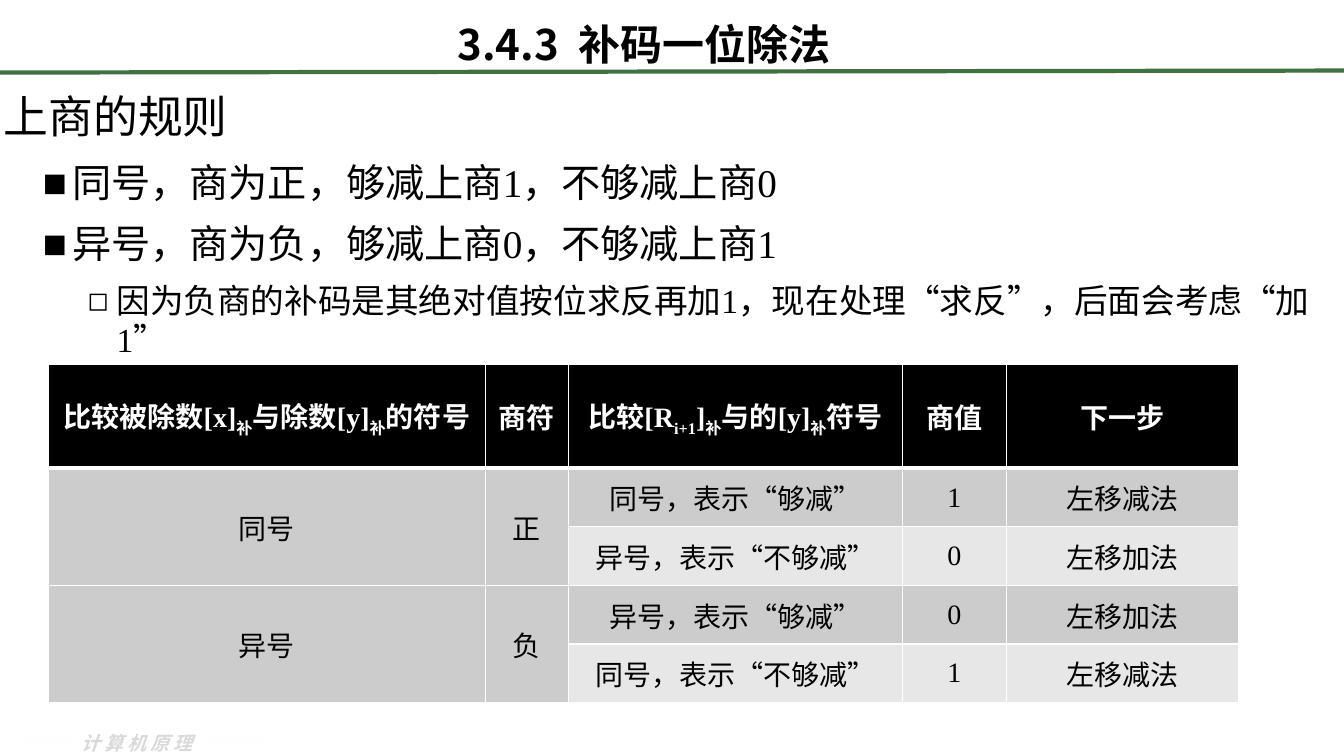
from lxml.etree import SubElement
from pptx import Presentation
from pptx.dml.color import RGBColor
from pptx.enum.shapes import MSO_CONNECTOR as Connector, MSO_SHAPE as Shape
from pptx.enum.text import MSO_ANCHOR as Anchor, PP_ALIGN as Align
from pptx.oxml.ns import qn
from pptx.util import Inches, Pt

COLORS = {
    "ink": "000000", "paper": "FFFFFF", "rule": "3F7141", "footer": "D9D9D9",
    "header": "000000", "band": "CCCCCC", "light_band": "E7E7E7",
}
SERIF, SANS, SYMBOL = "Times New Roman", "Noto Sans CJK SC", "DejaVu Sans"
BULLET_PERCENT = {"■": 65, "◻": 78}
COLUMNS, ROWS = 160, 90


def rgb(name):
    return RGBColor.from_string(COLORS[name])


def write(paragraph, text, size=20, color="ink", face=SERIF, bold=False,
          italic=False, spacing=0, baseline=0):
    """Add one formatted run to a paragraph."""
    run = paragraph.add_run()
    run.text = text
    font = run.font
    font.size, font.bold, font.italic = Pt(size), bold, italic
    font.color.rgb = rgb(color)
    font.name = face
    props = font._element
    props.set("lang", "zh-CN")
    SubElement(props, qn("a:ea"), typeface=SANS)
    if spacing:
        props.set("spc", str(spacing * 100))
    if baseline:
        props.set("baseline", str(baseline * 1000))


class LectureSlide:
    def __init__(self, deck):
        self.slide = deck.slides.add_slide(deck.slide_layouts[6])
        self.column = deck.slide_width / COLUMNS
        self.row = deck.slide_height / ROWS

    def x(self, columns):
        return round(columns * self.column)

    def y(self, rows):
        return round(rows * self.row)

    def text_box(self, left, top, width, height, anchor=Anchor.TOP, wrap=True):
        box = self.slide.shapes.add_textbox(
            self.x(left), self.y(top), self.x(width), self.y(height))
        frame = box.text_frame
        frame.word_wrap = wrap
        frame.vertical_anchor = anchor
        return frame

    def fading_bar(self, left, top, width, height, angle):
        bar = self.slide.shapes.add_shape(
            Shape.RECTANGLE, self.x(left), self.y(top), self.x(width), self.y(height))
        bar.shadow.inherit = False
        bar.line.fill.background()
        bar.fill.gradient()
        bar.fill.gradient_angle = angle
        for stop, position, opacity in zip(bar.fill.gradient_stops, (0, 1), (0, 80)):
            stop.position = position
            stop.color.rgb = rgb("paper")
        for color, opacity in zip(bar._element.spPr.iter(qn("a:srgbClr")), (0, 80)):
            SubElement(color, qn("a:alpha"), val=str(opacity * 1000))

    def line(self, start, end, color, width):
        rule = self.slide.shapes.add_connector(
            Connector.STRAIGHT, self.x(start[0]), self.y(start[1]),
            self.x(end[0]), self.y(end[1]))
        rule.line.color.rgb = rgb(color)
        rule.line.width = Pt(width)
        SubElement(rule._element.spPr, qn("a:effectLst"))

    def bullets(self, frame, items):
        for index, (text, size, indent, hang, mark, spacing) in enumerate(items):
            paragraph = frame.paragraphs[0] if index == 0 else frame.add_paragraph()
            props = paragraph._p.get_or_add_pPr()
            props.set("marL", str(Inches(indent)))
            props.set("indent", str(-Inches(hang)))
            paragraph.line_spacing = spacing
            paragraph.space_before = Pt(0.2 * size if index else 0)
            paragraph.space_after = Pt(6)
            if mark:
                SubElement(props, qn("a:buSzPct"), val=str(BULLET_PERCENT[mark] * 1000))
                SubElement(props, qn("a:buFont"), typeface=SYMBOL)
                SubElement(props, qn("a:buChar"), char=mark)
            write(paragraph, text, size=size)

    def table(self, left, top, widths, heights, rows, merges):
        frame = self.slide.shapes.add_table(
            len(rows), len(widths), self.x(left), self.y(top),
            self.x(sum(widths)), self.y(sum(heights)))
        grid = frame.table
        for column, width in zip(grid.columns, widths):
            column.width = self.x(width)
        for row, height in zip(grid.rows, heights):
            row.height = self.y(height)
        for r, texts in enumerate(rows):
            for c, text in enumerate(texts):
                self.cell(grid.cell(r, c), text, r, c)
        for r, c in merges:
            grid.cell(r, c).merge(grid.cell(r + 1, c))

    def cell(self, cell, text, r, c):
        header = r == 0
        props = cell._tc.get_or_add_tcPr()
        for side in "LRTB":
            thick = (header and side == "B") or (r == 1 and side == "T")
            border = SubElement(props, qn(f"a:ln{side}"), w=str(Pt(3 if thick else 1)))
            fill = SubElement(border, qn("a:solidFill"))
            SubElement(fill, qn("a:srgbClr"), val=COLORS["paper"])
        band = "light_band" if r % 2 == 0 and c > 1 else "band"
        cell.fill.solid()
        cell.fill.fore_color.rgb = rgb("header" if header else band)
        cell.vertical_anchor = Anchor.MIDDLE
        if not text:
            return
        paragraph = cell.text_frame.paragraphs[0]
        paragraph.alignment = Align.CENTER
        # Bars delimit subscripts: every second piece is lowered
        for index, piece in enumerate(text.split("|")):
            write(paragraph, piece, color="paper" if header else "ink",
                  bold=header, baseline=-25 if index % 2 else 0)


def main():
    deck = Presentation()
    deck.slide_width, deck.slide_height = Inches(13.33), Inches(7.5)
    lecture = LectureSlide(deck)

    # Course name in the footer between two fading bars
    course = lecture.text_box(8.5, 86.5, 17.5, 4, wrap=False)
    write(course.paragraphs[0], "计算机原理", size=13.5, color="footer",
          face=SANS, bold=True, italic=True, spacing=3)
    for left, angle in ((24.12, 180), (2.04, 0)):
        lecture.fading_bar(left, 87.96, 7.08, 0.48, angle)

    # Quotient rules
    rules = lecture.text_box(-0.75, 8.64, 161.4, 31.4)
    rules.margin_top = Inches(0.16)
    lecture.bullets(rules, [
        ("上商的规则", 32, 0.38, 0.38, None, 1.0),
        ("同号，商为正，够减上商1，不够减上商0", 28, 0.68, 0.29, "■", 1.0),
        ("异号，商为负，够减上商0，不够减上商1", 28, 0.68, 0.29, "■", 0.96),
        ("因为负商的补码是其绝对值按位求反再加1，现在处理“求反”，后面会考虑“加1”",
         24, 1.12, 0.29, "◻", 0.96),
    ])

    # Title and the rule below it
    title = lecture.text_box(20.52, 1.56, 112.3, 7.3, anchor=Anchor.MIDDLE)
    heading = title.paragraphs[0]
    heading.alignment = Align.CENTER
    for part, gap in (("3.4.3", 0), (" ", 7), ("补码一位除法", 0)):
        write(heading, part, size=30, face=SANS, bold=True, spacing=gap)
    lecture.line((0, 8.64), (COLUMNS, 8.4), "rule", 3)

    # Comparison of signs, quotient digit and next step
    lecture.table(
        5.76, 43.44, [52, 9.96, 39.72, 12.36, 27.72], [12.3] + [6.98] * 4,
        [
            ("比较被除数[x]|补|与除数[y]|补|的符号", "商符",
             "比较[R|i+1|]|补|与的[y]|补|符号", "商值", "下一步"),
            ("同号", "正", "同号，表示“够减”", "1", "左移减法"),
            ("", "", "异号，表示“不够减”", "0", "左移加法"),
            ("异号", "负", "异号，表示“够减”", "0", "左移加法"),
            ("", "", "同号，表示“不够减”", "1", "左移减法"),
        ],
        merges=[(1, 0), (1, 1), (3, 0), (3, 1)])

    deck.save("out.pptx")


if __name__ == "__main__":
    main()
